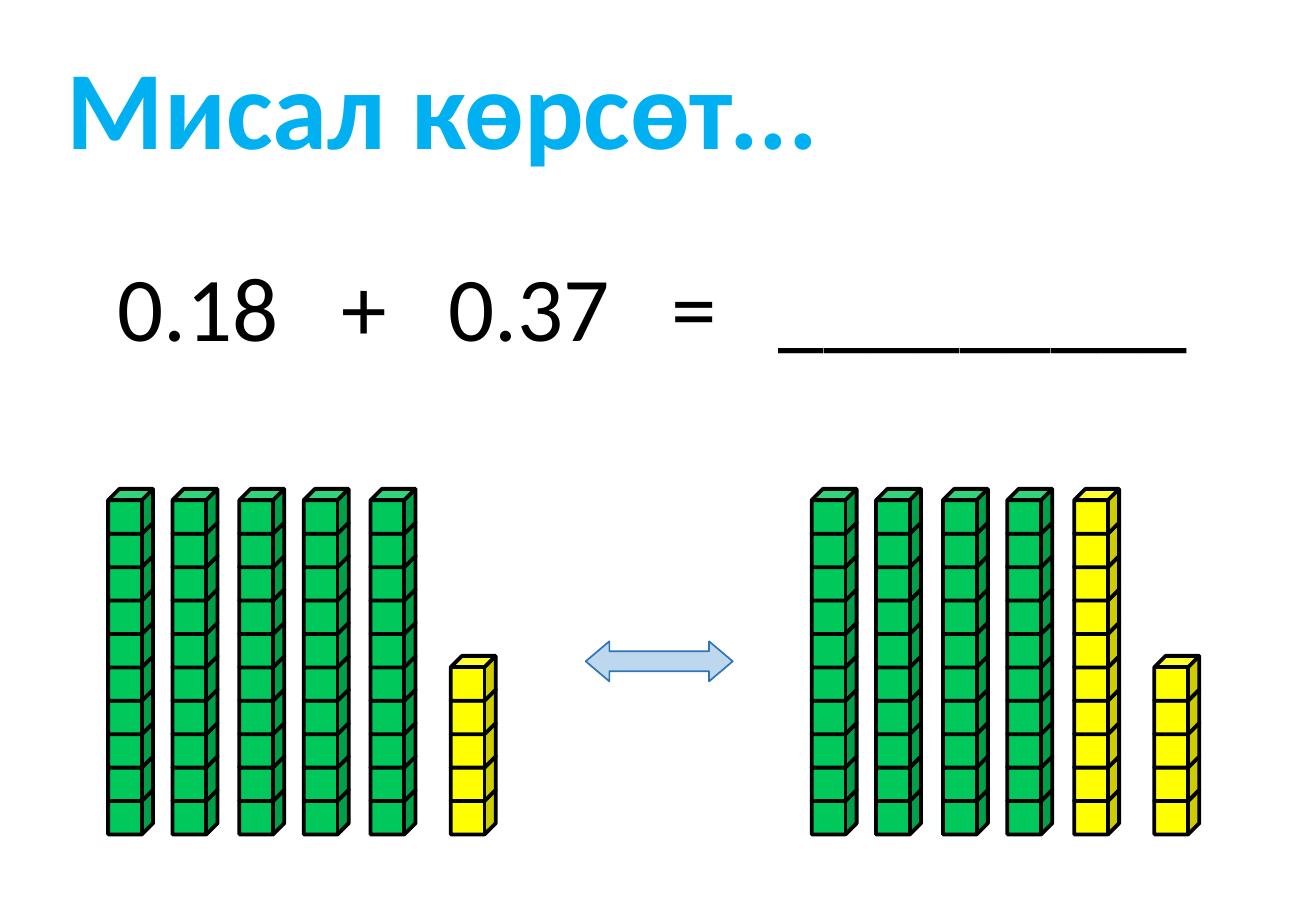
from pptx import Presentation
from pptx.dml.color import RGBColor
from pptx.enum.shapes import MSO_SHAPE
from pptx.enum.text import MSO_ANCHOR, MSO_AUTO_SIZE, PP_ALIGN
from pptx.oxml.ns import qn
from pptx.util import Inches, Pt
from lxml import etree

CUBE, ARROW = MSO_SHAPE.CUBE, MSO_SHAPE.LEFT_RIGHT_ARROW
LEFT, MIDDLE = PP_ALIGN.LEFT, MSO_ANCHOR.MIDDLE
NO_FIT = MSO_AUTO_SIZE.NONE

BLACK = RGBColor(0, 0, 0)
SKY = RGBColor(0, 0xB0, 0xF0)
GREEN = RGBColor(0, 0xC8, 0x5A)
YELLOW = RGBColor(0xFF, 0xFF, 0)
PALE = RGBColor(0xBD, 0xD7, 0xEE)
BLUE = RGBColor(0x2E, 0x75, 0xB6)

TITLE = "Мисал көрсөт..."
SUM = ("0.18", "+", "0.37", "=", "_________")
TABS = (1.84, 2.72, 4.56, 5.44)

# Each rod is (cube count, colour)
TEN, NEW, ONES = (10, GREEN), (10, YELLOW), (5, YELLOW)
SETS = (
    (0.89, (TEN, TEN, TEN, TEN, TEN, ONES)),
    (6.68, (TEN, TEN, TEN, TEN, NEW, ONES)),
)
RODS = (0, 0.53, 1.08, 1.61, 2.16, 2.82)
SIDE, STEP, BASE = 0.37, 0.275, 6.5


def place(shape, left, top, width, height):
    shape.left, shape.top = Inches(left), Inches(top)
    shape.width, shape.height = Inches(width), Inches(height)


def style(shape, fill, line, weight):
    shape.shadow.inherit = False
    shape.fill.solid()
    shape.fill.fore_color.rgb = fill
    shape.line.color.rgb = line
    shape.line.width = Pt(weight)


def write(shape, text, size, color, bold=False):
    frame = shape.text_frame
    frame.word_wrap = True
    frame.auto_size = NO_FIT
    frame.vertical_anchor = MIDDLE
    frame.text = text
    para = frame.paragraphs[0]
    para.alignment = LEFT
    font = para.runs[0].font
    font.name, font.size, font.bold = "Calibri", Pt(size), bold
    font.color.rgb = color
    return para


def set_tabs(para, stops):
    tabs = etree.SubElement(para._p.get_or_add_pPr(), qn("a:tabLst"))
    for stop in stops:
        etree.SubElement(tabs, qn("a:tab"), pos=str(Inches(stop)), algn="l")


def add_rod(slide, left, count, color):
    """Stack cubes upward from the base line."""
    rod = slide.shapes.add_group_shape()
    for i in range(count):
        cube = rod.shapes.add_shape(
            CUBE, Inches(left), Inches(BASE - i * STEP), Inches(SIDE), Inches(SIDE))
        style(cube, color, BLACK, 2.25)


def main():
    prs = Presentation()
    prs.slide_width, prs.slide_height = Inches(10.83), Inches(7.5)
    slide = prs.slides.add_slide(prs.slide_layouts[5])

    title = slide.shapes.title
    place(title, 0.24, 0.26, 7.54, 1.21)
    write(title, TITLE, 66, SKY, True)
    title.text_frame.margin_left = Inches(0.31)

    box = slide.shapes.add_textbox(
        Inches(0.87), Inches(2.01), Inches(9.1), Inches(1.01))
    set_tabs(write(box, "\t".join(SUM), 54, BLACK), TABS)

    for start, rods in SETS:
        for shift, (count, color) in zip(RODS, rods):
            add_rod(slide, start + shift, count, color)

    arrow = slide.shapes.add_shape(
        ARROW, Inches(4.82), Inches(5.28), Inches(1.21), Inches(0.33))
    arrow.adjustments[1] = 0.59
    style(arrow, PALE, BLUE, 1)

    prs.save("out.pptx")


if __name__ == "__main__":
    main()
